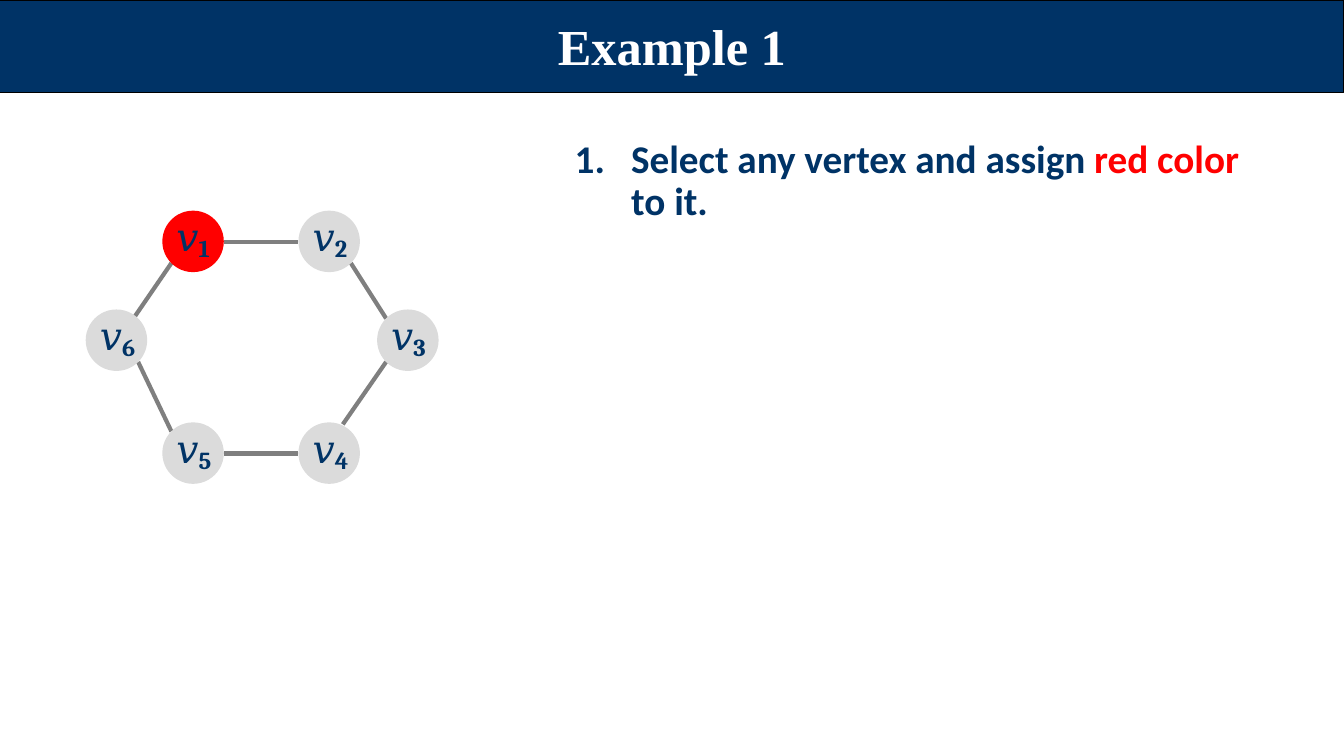
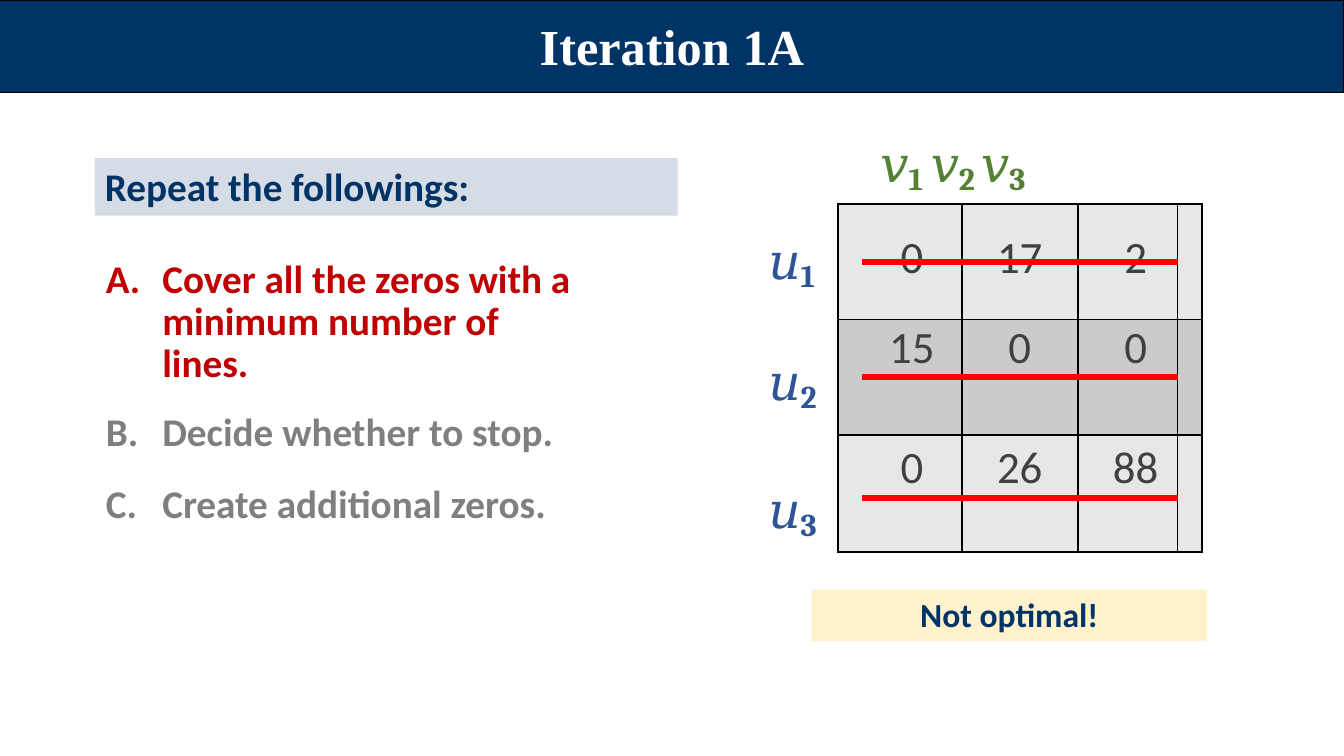
"""Builds two lecture slides: a graph colouring example and an assignment iteration."""
from lxml import etree
from pptx import Presentation
from pptx.dml.color import RGBColor
from pptx.enum.shapes import MSO_CONNECTOR, MSO_SHAPE
from pptx.enum.text import MSO_ANCHOR, PP_ALIGN
from pptx.oxml.ns import qn
from pptx.util import Pt

RECTANGLE, OVAL = MSO_SHAPE.RECTANGLE, MSO_SHAPE.OVAL
STRAIGHT = MSO_CONNECTOR.STRAIGHT
LEFT, CENTER = PP_ALIGN.LEFT, PP_ALIGN.CENTER
TOP, MIDDLE = MSO_ANCHOR.TOP, MSO_ANCHOR.MIDDLE

EMU_PER_PX = 9144
PAGE_WIDTH, PAGE_HEIGHT = 1333, 750
BAND_HEIGHT = 92
BLANK_LAYOUT = 6

NAVY, WHITE, BLACK, RED = "003366", "FFFFFF", "000000", "FF0000"
VERTEX_GRAY, EDGE_GRAY = "DBDBDB", "7F7F7F"
DARK_RED, GREEN, BLUE, CHARCOAL = "C00000", "548235", "2F5597", "404040"
PALE_BLUE, PALE_YELLOW = "D6DCE5", "FFF2CC"
LIGHT_ROW, DARK_ROW = "E7E7E7", "CBCBCB"
TITLE_FONT, BODY_FONT, MATH_FONT = "Times New Roman", "Calibri", "Cambria"

VERTEX_SIZE = 61
VERTICES = {"1": (161, 209), "2": (296, 209), "3": (374, 307),
            "4": (296, 419), "5": (161, 419), "6": (85, 307)}
EDGES = [(133, 315, 170, 261), (222, 240, 296, 240), (348, 261, 383, 316),
         (340, 421, 383, 359), (222, 450, 296, 450), (137, 359, 170, 428)]

COST_ROWS = [("0", "17", "2"), ("15", "0", "0"), ("0", "26", "88")]
COST_FILLS = [LIGHT_ROW, DARK_ROW, LIGHT_ROW]
COST_LEADING = [16.6, 19.8, 23.1]
COLUMN_WIDTHS = [16, 99, 115, 99, 16]
ROW_HEIGHTS = [58, 57, 57, 58, 62, 54]
GRID_LINE, COVER_LINE = (BLACK, 1.5), (RED, 4.5)


def px(length):
    """Turn px into EMU."""
    return length * EMU_PER_PX


def color(value):
    """Turn a hex string into a colour."""
    return RGBColor.from_string(value)


def write(para, text, size=28, font=BODY_FONT, ink=NAVY, bold=True, baseline=0):
    """Append a formatted run of text to a paragraph."""
    span = para.add_run()
    span.text = text
    span.font.size, span.font.name, span.font.bold = Pt(size), font, bold
    span.font.color.rgb = color(ink)
    if baseline:
        span._r.get_or_add_rPr().set("baseline", str(baseline * 1000))


def write_symbol(para, letter, index, size, index_size, ink):
    """Append a math letter with its subscript."""
    write(para, letter, size=size, font=MATH_FONT, ink=ink)
    write(para, index, size=index_size, font=MATH_FONT, ink=ink, baseline=-15)


def format_paragraph(para, align=LEFT, margin=0, indent=0, before=0, leading=None,
                     numbering=None, tabs=()):
    """Set the numbering, tabs, indents and spacing of a paragraph."""
    properties = para._p.get_or_add_pPr()
    properties.set("marL", str(px(margin)))
    properties.set("indent", str(px(indent)))
    if numbering:
        etree.SubElement(properties, qn("a:buAutoNum"), type=numbering)
    if tabs:
        stops = etree.SubElement(properties, qn("a:tabLst"))
        for stop in tabs:
            etree.SubElement(stops, qn("a:tab"), pos=str(px(stop)), algn="l")
    para.alignment = align
    if before:
        para.space_before = Pt(before)
    if leading:
        para.line_spacing = Pt(leading)


def set_frame(frame, top=0, anchor=TOP):
    """Set wrapping, insets and anchor of a text frame."""
    frame.word_wrap = True
    frame.vertical_anchor = anchor
    frame.margin_left = frame.margin_right = frame.margin_bottom = 0
    frame.margin_top = px(top)
    return frame


def add_text_box(page, left, top, width, height, inset=1, anchor=TOP):
    """Add an empty text box and return its frame."""
    box = page.shapes.add_textbox(px(left), px(top), px(width), px(height))
    return set_frame(box.text_frame, inset, anchor)


def add_filled(page, kind, left, top, width, height, fill, outline=None):
    """Add a flat preset shape."""
    shape = page.shapes.add_shape(kind, px(left), px(top), px(width), px(height))
    shape.shadow.inherit = False
    shape.fill.solid()
    shape.fill.fore_color.rgb = color(fill)
    if outline:
        shape.line.color.rgb = color(outline)
        shape.line.width = Pt(0.75)
    else:
        shape.line.fill.background()
    return shape


def add_banner(page, left, top, width, height, fill, text, size, **layout):
    """Add a filled strip with one line of text."""
    strip = add_filled(page, RECTANGLE, left, top, width, height, fill)
    para = set_frame(strip.text_frame, 4).paragraphs[0]
    format_paragraph(para, **layout)
    write(para, text, size=size)


def add_edge(page, start_x, start_y, end_x, end_y):
    """Add a graph edge."""
    edge = page.shapes.add_connector(
        STRAIGHT, px(start_x), px(start_y), px(end_x), px(end_y))
    edge.line.color.rgb = color(EDGE_GRAY)
    edge.line.width = Pt(3)
    etree.SubElement(edge._element.spPr, qn("a:effectLst"))


def add_vertex(page, index, left, top, fill):
    """Add a graph vertex with its label."""
    add_filled(page, OVAL, left, top, VERTEX_SIZE, VERTEX_SIZE, fill)
    para = add_text_box(page, left + 10, top - 2, 45, 49).paragraphs[0]
    format_paragraph(para, margin=4)
    write_symbol(para, "𝑣", index, 28, 30, NAVY)


def add_page(deck, title):
    """Add a blank page with the title band."""
    page = deck.slides.add_slide(deck.slide_layouts[BLANK_LAYOUT])
    add_filled(page, RECTANGLE, 0, 0, PAGE_WIDTH, BAND_HEIGHT, NAVY, BLACK)
    para = add_text_box(page, 0, 13, PAGE_WIDTH, 63, anchor=MIDDLE).paragraphs[0]
    format_paragraph(para, align=CENTER)
    write(para, title, size=36, font=TITLE_FONT, ink=WHITE)
    return page


def style_cell(cell, fill, left, right, top, bottom):
    """Set the borders and fill of a table cell."""
    properties = cell._tc.get_or_add_tcPr()
    for side, line in zip("LRTB", (left, right, top, bottom)):
        if line:
            ink, weight = line
            border = etree.SubElement(properties, qn("a:ln" + side), w=str(Pt(weight)))
            solid = etree.SubElement(border, qn("a:solidFill"))
            etree.SubElement(solid, qn("a:srgbClr"), val=ink)
        else:
            border = etree.SubElement(properties, qn("a:ln" + side), w="0")
            etree.SubElement(border, qn("a:noFill"))
    cell.fill.solid()
    cell.fill.fore_color.rgb = color(fill)


def write_cost(cell, value, top, leading, margin):
    """Write one cost into its cell."""
    cell.margin_left = cell.margin_right = cell.margin_bottom = 0
    cell.margin_top = px(top)
    para = cell.text_frame.paragraphs[0]
    format_paragraph(para, align=CENTER, margin=margin, leading=leading)
    write(para, value, size=32, ink=CHARCOAL, bold=False)


def add_cost_table(page, left, top):
    """Add the cost matrix, each row split in two by its covering line."""
    last = len(COLUMN_WIDTHS) - 1
    table = page.shapes.add_table(
        len(ROW_HEIGHTS), len(COLUMN_WIDTHS), px(left), px(top),
        px(sum(COLUMN_WIDTHS)), px(sum(ROW_HEIGHTS))).table
    table.first_row = table.horz_banding = False
    for column, width in zip(table.columns, COLUMN_WIDTHS):
        column.width = px(width)
    for row, height in zip(table.rows, ROW_HEIGHTS):
        row.height = px(height)
    for band, (costs, fill, leading) in enumerate(
            zip(COST_ROWS, COST_FILLS, COST_LEADING)):
        upper, lower = 2 * band, 2 * band + 1
        for column in range(last + 1):
            sides = (None if column == 1 else GRID_LINE,
                     None if column == 0 else GRID_LINE)
            cell = table.cell(upper, column)
            if column in (0, last):
                cell.merge(table.cell(lower, column))
                style_cell(cell, fill, *sides, GRID_LINE, GRID_LINE)
                continue
            style_cell(cell, fill, *sides, GRID_LINE, COVER_LINE)
            style_cell(table.cell(lower, column), fill, *sides, COVER_LINE, GRID_LINE)
            value_row, inset = (lower, 0) if band == 0 else (upper, 28)
            write_cost(table.cell(value_row, column), costs[column - 1], inset,
                       leading, 16 if column == last - 1 else 0)


def build_example(deck):
    """Build the graph colouring page."""
    page = add_page(deck, "Example 1")
    for edge in EDGES:
        add_edge(page, *edge)
    for index, (left, top) in VERTICES.items():
        add_vertex(page, index, left, top, RED if index == "1" else VERTEX_GRAY)
    para = add_text_box(page, 568, 131, 691, 91, inset=7).paragraphs[0]
    format_paragraph(para, margin=58, indent=-56, leading=30, numbering="arabicPeriod")
    write(para, "Select any vertex and assign ")
    write(para, "red color ", ink=RED)
    write(para, "to it.")


def build_iteration(deck):
    """Build the assignment iteration page."""
    page = add_page(deck, "Iteration 1A")
    add_cost_table(page, 831, 202)

    para = add_text_box(page, 867, 126, 277, 63).paragraphs[0]
    format_paragraph(para, margin=6, tabs=(112, 222))
    for index in ("1\t", "2\t", "3"):
        write_symbol(para, "𝑣", index, 36, 39, GREEN)

    frame = add_text_box(page, 758, 222, 58, 293)
    for index, before in (("1", 0), ("2", 37.1), ("3", 41.9)):
        para = frame.add_paragraph() if before else frame.paragraphs[0]
        format_paragraph(para, margin=4, before=before)
        write_symbol(para, "𝑢", index, 36, 39, BLUE)

    frame = add_text_box(page, 103, 250, 478, 231, inset=7)
    steps = [("Cover all the zeros with a minimum number of lines.", DARK_RED, 0, 30),
             ("Decide whether to stop.", EDGE_GRAY, 16, None),
             ("Create additional zeros.", EDGE_GRAY, 17.4, None)]
    for text, ink, before, leading in steps:
        para = frame.add_paragraph() if before else frame.paragraphs[0]
        format_paragraph(para, margin=58, indent=-56, before=before, leading=leading,
                         numbering="alphaUcPeriod")
        write(para, text, ink=ink)

    add_banner(page, 94, 157, 578, 57, PALE_BLUE, "Repeat the followings:", 28, margin=10)
    add_banner(page, 805, 585, 392, 51, PALE_YELLOW, "Not optimal!", 24, align=CENTER)


def main():
    """Build and save the deck."""
    deck = Presentation()
    deck.slide_width, deck.slide_height = px(PAGE_WIDTH), px(PAGE_HEIGHT)
    build_example(deck)
    build_iteration(deck)
    deck.save("out.pptx")


if __name__ == "__main__":
    main()
